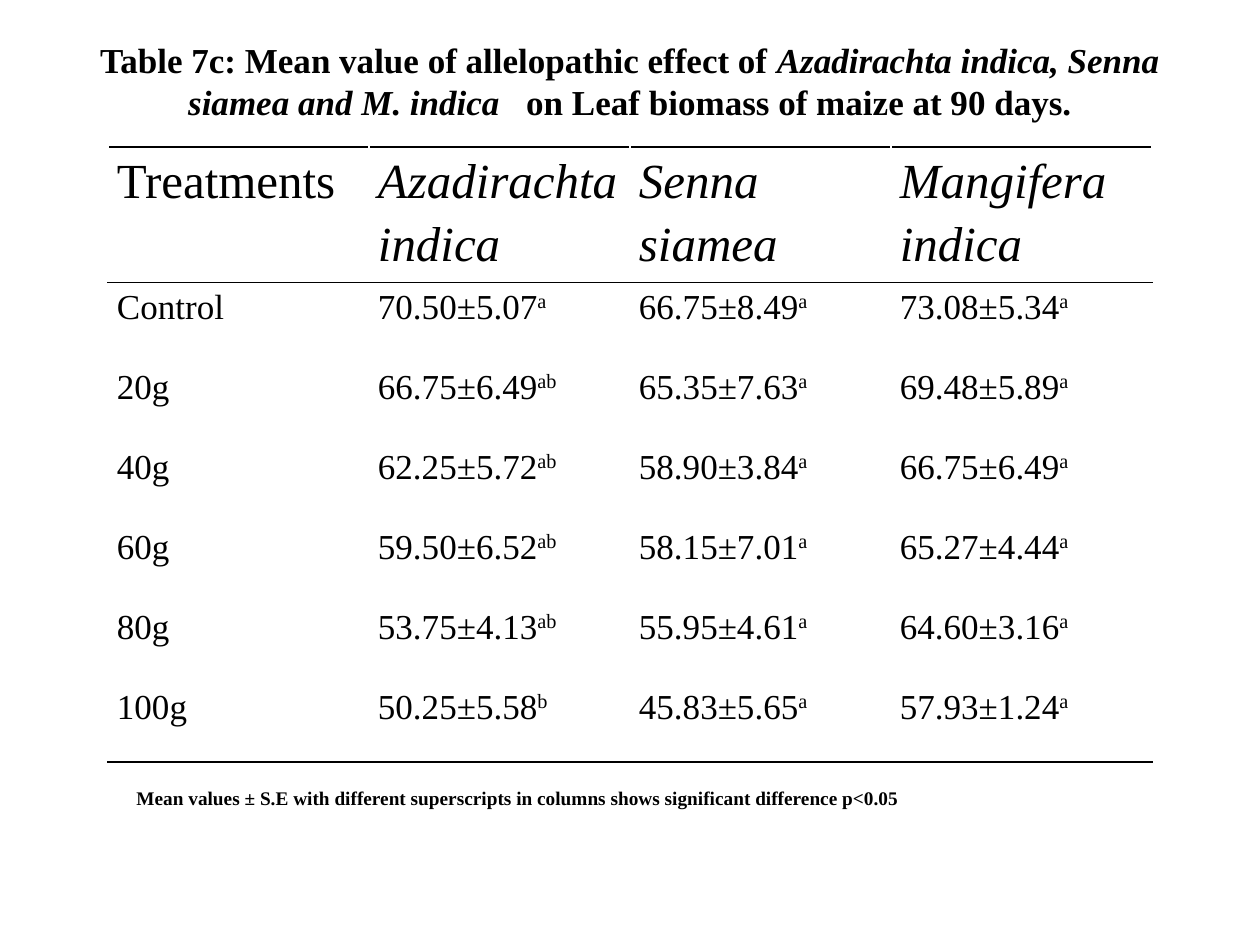
from pptx import Presentation
from pptx.dml.color import RGBColor
from pptx.enum.text import MSO_ANCHOR, PP_ALIGN
from pptx.oxml import parse_xml
from pptx.oxml.ns import nsdecls
from pptx.util import Emu, Pt

FONT = "Times New Roman"
INK = "000000"
HEADINGS = ["Treatments", "Azadirachta indica", "Senna siamea", "Mangifera indica"]
# Each reading is a mean with its error, then the superscript group
ROWS = [
    ("Control", "70.50±5.07 a", "66.75±8.49 a", "73.08±5.34 a"),
    ("20g", "66.75±6.49 ab", "65.35±7.63 a", "69.48±5.89 a"),
    ("40g", "62.25±5.72 ab", "58.90±3.84 a", "66.75±6.49 a"),
    ("60g", "59.50±6.52 ab", "58.15±7.01 a", "65.27±4.44 a"),
    ("80g", "53.75±4.13 ab", "55.95±4.61 a", "64.60±3.16 a"),
    ("100g", "50.25±5.58 b", "45.83±5.65 a", "57.93±1.24 a"),
]


def px(length):
    return Emu(round(length * 914400 / 126))


def color(value):
    return RGBColor.from_string(value)


def add_span(para, text, size, bold=False, italic=False):
    span = para.add_run()
    span.text = text
    span.font.name = FONT
    span.font.size = Pt(size)
    span.font.bold = bold
    span.font.italic = italic
    span.font.color.rgb = color(INK)
    return span


def add_text_box(page, left, top, width, height):
    box = page.shapes.add_textbox(px(left), px(top), px(width), px(height))
    box.text_frame.word_wrap = True
    return box.text_frame


def add_title(page, left, top, width, height):
    frame = add_text_box(page, left, top, width, height)
    frame.margin_top = frame.margin_bottom = 0
    frame.vertical_anchor = MSO_ANCHOR.TOP
    para = frame.paragraphs[0]
    para.alignment = PP_ALIGN.CENTER
    add_span(para, "Table 7c: Mean value of allelopathic effect of ", 20, bold=True)
    add_span(para, "Azadirachta indica, Senna siamea and M. indica", 20, bold=True, italic=True)
    # One space, widened by character spacing
    gap = add_span(para, " ", 20, bold=True)
    gap.font._element.set("spc", "1000")
    add_span(para, "on Leaf biomass of maize at 90 days.", 20, bold=True)


def add_border(cell, side):
    # Fill follows the lines in the cell properties, so lines go in before it
    cell._tc.get_or_add_tcPr().append(parse_xml(
        f'<a:{side} {nsdecls("a")} w="12700"><a:solidFill>'
        f'<a:srgbClr val="{INK}"/></a:solidFill></a:{side}>'))


def style_cell(cell, sides):
    cell.margin_left = cell.margin_right = px(9)
    cell.margin_top = cell.margin_bottom = 0
    for side in sides:
        add_border(cell, side)
    cell.fill.background()
    para = cell.text_frame.paragraphs[0]
    para.line_spacing = 1.15
    return para


def add_results(page, left, top, width, header_height, row_height):
    count = len(ROWS)
    table = page.shapes.add_table(
        count + 1, len(HEADINGS), px(left), px(top), px(width),
        px(header_height + count * row_height)).table
    table.first_row = table.horz_banding = False
    for column in table.columns:
        column.width = px(width / len(HEADINGS))
    for index, row in enumerate(table.rows):
        row.height = px(row_height if index else header_height)

    # Header
    for index, heading in enumerate(HEADINGS):
        para = style_cell(table.cell(0, index), ["lnT", "lnB"])
        add_span(para, heading, 28, italic=index > 0)

    # Readings
    edges = {1: ["lnT"], count: ["lnB"]}
    for row, values in enumerate(ROWS, start=1):
        for index, value in enumerate(values):
            para = style_cell(table.cell(row, index), edges.get(row, []))
            reading, _, group = value.partition(" ")
            add_span(para, reading, 20)
            if group:
                raised = add_span(para, group, 20)
                raised.font._element.set("baseline", "30000")


def add_footnote(page, left, top, width, height):
    para = add_text_box(page, left, top, width, height).paragraphs[0]
    add_span(para, "Mean values ± S.E with different superscripts in columns "
                   "shows significant difference p<0.05", 11, bold=True)


def main():
    deck = Presentation()
    deck.slide_width, deck.slide_height = px(1260), px(945)
    page = deck.slides.add_slide(deck.slide_layouts[6])
    add_title(page, 63, 38, 1134, 158)
    add_results(page, 108, 147, 1044, 125, 80)
    add_footnote(page, 124, 780, 912, 36)
    deck.save("out.pptx")


if __name__ == "__main__":
    main()
